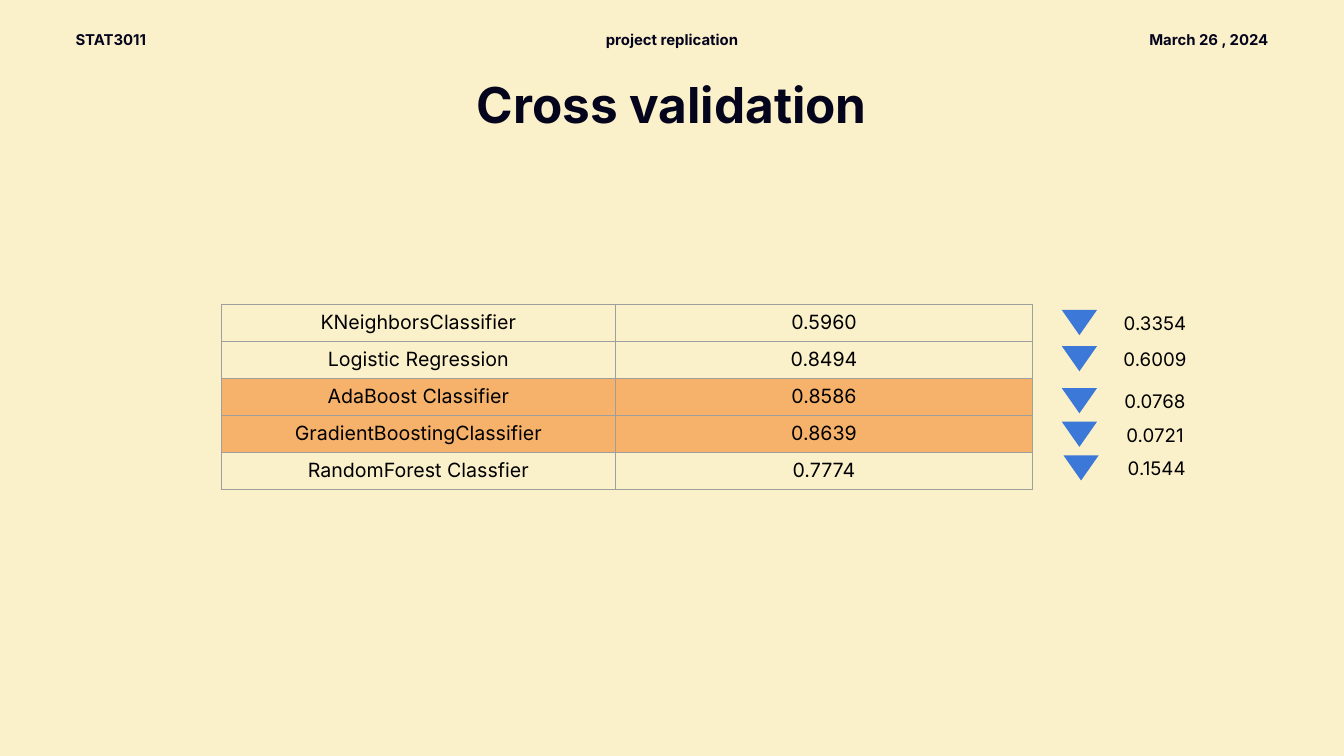
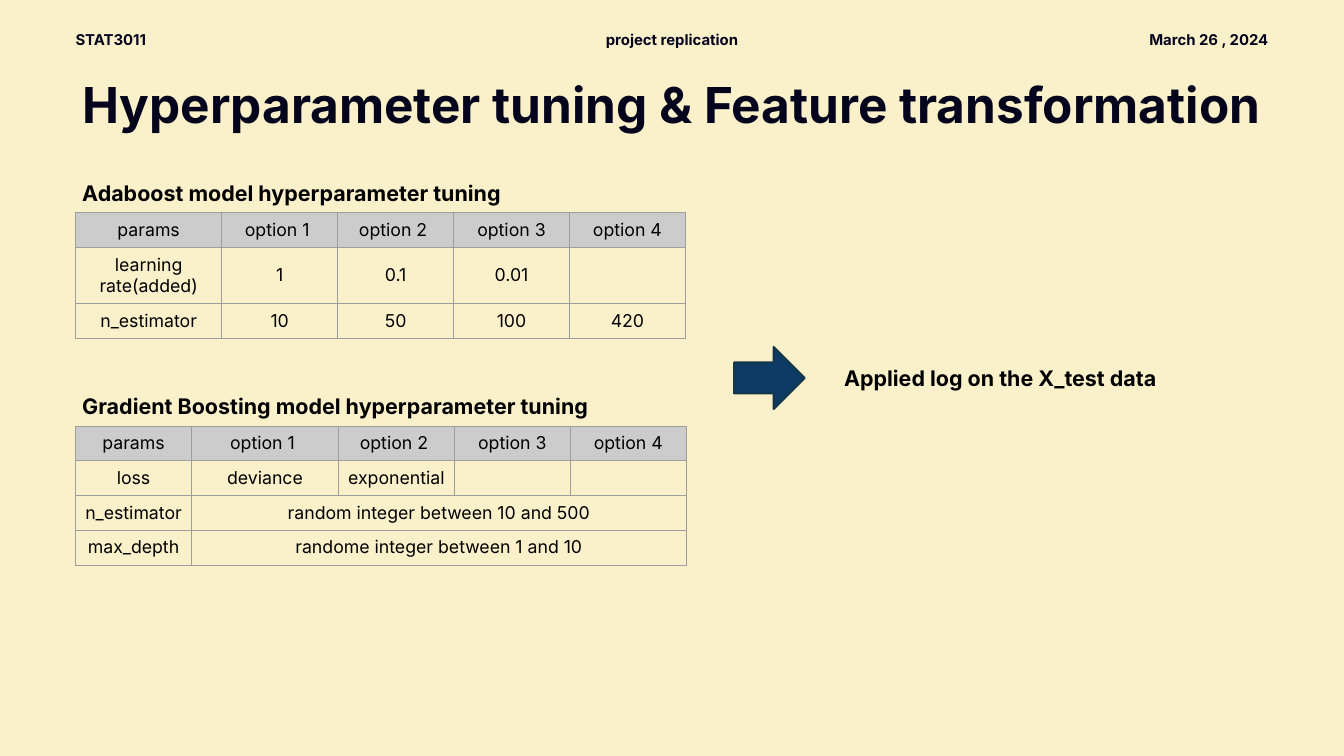
from lxml.etree import SubElement as Sub
from pptx import Presentation
from pptx.dml.color import RGBColor as Rgb
from pptx.enum.shapes import MSO_SHAPE as Kind
from pptx.enum.text import MSO_ANCHOR as Anchor, MSO_AUTO_SIZE as Auto, PP_ALIGN as Align
from pptx.oxml.ns import qn
from pptx.util import Inches, Pt

HUES = {
    "paper": "FAF0CA", "ink": "05041D", "text": "000000", "rule": "9E9E9E",
    "best": "F6B26B", "head": "CCCCCC", "drop": "3C78D8",
    "arrow": "0D3B66", "edge": "153649",
}
FONT = "Inter"
COLS = 160  # square grid cells across the slide
EDGE, SPAN = 9, 142  # left margin and content width
ROW = 3.36
PAD = Inches(0.1)


def hue(name):
    return Rgb.from_string(HUES[name])


class Deck:
    """Holds the style and the current slide; lengths are in grid cells."""

    def __init__(self):
        self.file = Presentation()
        self.file.slide_width, self.file.slide_height = Inches(20), Inches(11.25)
        self.unit = self.file.slide_width / COLS

    def size(self, *cells):
        return [round(n * self.unit) for n in cells]

    def style(self, frame, size, color="text", bold=False, align=Align.CENTER, lead=None):
        for para in frame.paragraphs:
            para.alignment = align
            if lead:
                para.line_spacing = lead
            font = para.font
            font.name, font.size, font.bold = FONT, Pt(size), bold
            font.color.rgb = hue(color)

    def fill(self, frame, words, pad, **look):
        frame.text = words
        frame.word_wrap = True
        frame.auto_size = Auto.SHAPE_TO_FIT_TEXT
        frame.vertical_anchor = Anchor.TOP
        frame.margin_left = frame.margin_right = pad
        frame.margin_top = frame.margin_bottom = pad
        self.style(frame, **look)

    def slide(self, title):
        self.page = self.file.slides.add_slide(self.file.slide_layouts[5])
        back = self.page.background.fill
        back.solid()
        back.fore_color.rgb = hue("paper")
        box = self.page.shapes.title
        box.left, box.top, box.width, box.height = self.size(EDGE, 10.2, SPAN, 5.7)
        self.fill(box.text_frame, title, 0, size=53, color="ink", bold=True, lead=0.8)
        for words, left, wide, align in (
            ("STAT3011", EDGE, 13.8, Align.LEFT),
            ("March 26 , 2024", 135, 16, Align.RIGHT),
            ("project replication", 64.2, 31.6, Align.CENTER),
        ):
            self.text(words, left, 2.8, wide, 2.2, pad=0, size=16,
                      color="ink", bold=True, align=align, lead=1.4)

    def text(self, words, left, top, wide, high, pad=PAD, **look):
        box = self.page.shapes.add_textbox(*self.size(left, top, wide, high))
        self.fill(box.text_frame, words, pad, **look)

    def label(self, words, left, top, wide):
        self.text(words, left, top, wide, 4.7, size=23, bold=True, align=Align.LEFT)

    def shape(self, kind, left, top, wide, high, color, line=None):
        item = self.page.shapes.add_shape(kind, *self.size(left, top, wide, high))
        item.shadow.inherit = False
        item.fill.solid()
        item.fill.fore_color.rgb = hue(color)
        if line:
            item.line.color.rgb = hue(line)
            item.line.width = Pt(2)
        else:
            item.line.fill.background()
        return item

    def border(self, cell):
        props = cell._tc.get_or_add_tcPr()
        for side in ("lnL", "lnR", "lnT", "lnB"):
            line = Sub(props, qn(f"a:{side}"), w=str(Pt(0.75)))
            Sub(Sub(line, qn("a:solidFill")), qn("a:srgbClr"), val=HUES["rule"])

    def table(self, left, top, widths, rows, size, tints):
        """Draw rows; the last cell of a short row spans the columns left over.

        tints maps a row number to its fill.
        """
        count = len(widths)
        place = self.size(left, top, sum(widths), ROW * len(rows))
        grid = self.page.shapes.add_table(len(rows), count, *place).table
        grid.first_row = grid.horz_banding = False
        for col, wide in zip(grid.columns, self.size(*widths)):
            col.width = wide
        for r, row in enumerate(rows):
            for c in range(count):
                cell = grid.cell(r, c)
                self.border(cell)
                if r in tints:
                    cell.fill.solid()
                    cell.fill.fore_color.rgb = hue(tints[r])
                else:
                    cell.fill.background()
                cell.margin_left = cell.margin_right = PAD
                cell.margin_top = cell.margin_bottom = PAD
                if c < len(row):
                    cell.text = row[c]
                if c and "\n" in row[0]:
                    cell.vertical_anchor = Anchor.MIDDLE
                self.style(cell.text_frame, size)
            if len(row) < count:
                grid.cell(r, len(row) - 1).merge(grid.cell(r, count - 1))


def scores(deck):
    deck.slide("Cross validation")
    deck.table(26.3, 36.2, (47, 49.6), (
        ("KNeighborsClassifier", "0.5960"),
        ("Logistic Regression", "0.8494"),
        ("AdaBoost Classifier", "0.8586"),
        ("GradientBoostingClassifier", "0.8639"),
        ("RandomForest Classfier", "0.7774"),
    ), 21, {2: "best", 3: "best"})
    for loss, left, top in (
        ("0.3354", 126.4, 36.9),
        ("0.6009", 126.4, 41.2),
        ("0.0768", 126.4, 46.2),
        ("0.0721", 126.4, 50.2),
        ("0.1544", 126.6, 54.2),
    ):
        mark = deck.shape(Kind.ISOSCELES_TRIANGLE, left, top, 4.2, 3, "drop")
        mark.rotation = 180
        deck.text(loss, left + 4.2, top - 0.6, 13.8, 4.3, size=20)


def tuning(deck):
    deck.slide("Hyperparameter tuning & Feature transformation")
    head = ("params", "option 1 ", "option 2 ", "option 3", "option 4")
    for name, top, widths, rows in (
        ("Adaboost", 20.6, (17.4,) + (13.8,) * 4, (
            ("learning\nrate(added)", "1", "0.1", "0.01", ""),
            ("n_estimator", "10", "50", "100", "420"),
        )),
        ("Gradient Boosting", 46, (13.8, 17.5) + (13.8,) * 3, (
            ("loss", "deviance", "exponential", "", ""),
            ("n_estimator", "random integer between 10 and 500"),
            ("max_depth", "randome integer between 1 and 10"),
        )),
    ):
        deck.label(f"{name} model hyperparameter tuning", EDGE, top, 65)
        deck.table(EDGE, top + 4.7, widths, (head,) + rows, 19, {0: "head"})
    deck.shape(Kind.RIGHT_ARROW, 87.4, 41.3, 8.4, 7.4, "arrow", "edge")
    deck.label("Applied log on the X_test data", 99.7, 42.6, 51.3)


def main():
    deck = Deck()
    scores(deck)
    tuning(deck)
    deck.file.save("out.pptx")


if __name__ == "__main__":
    main()
